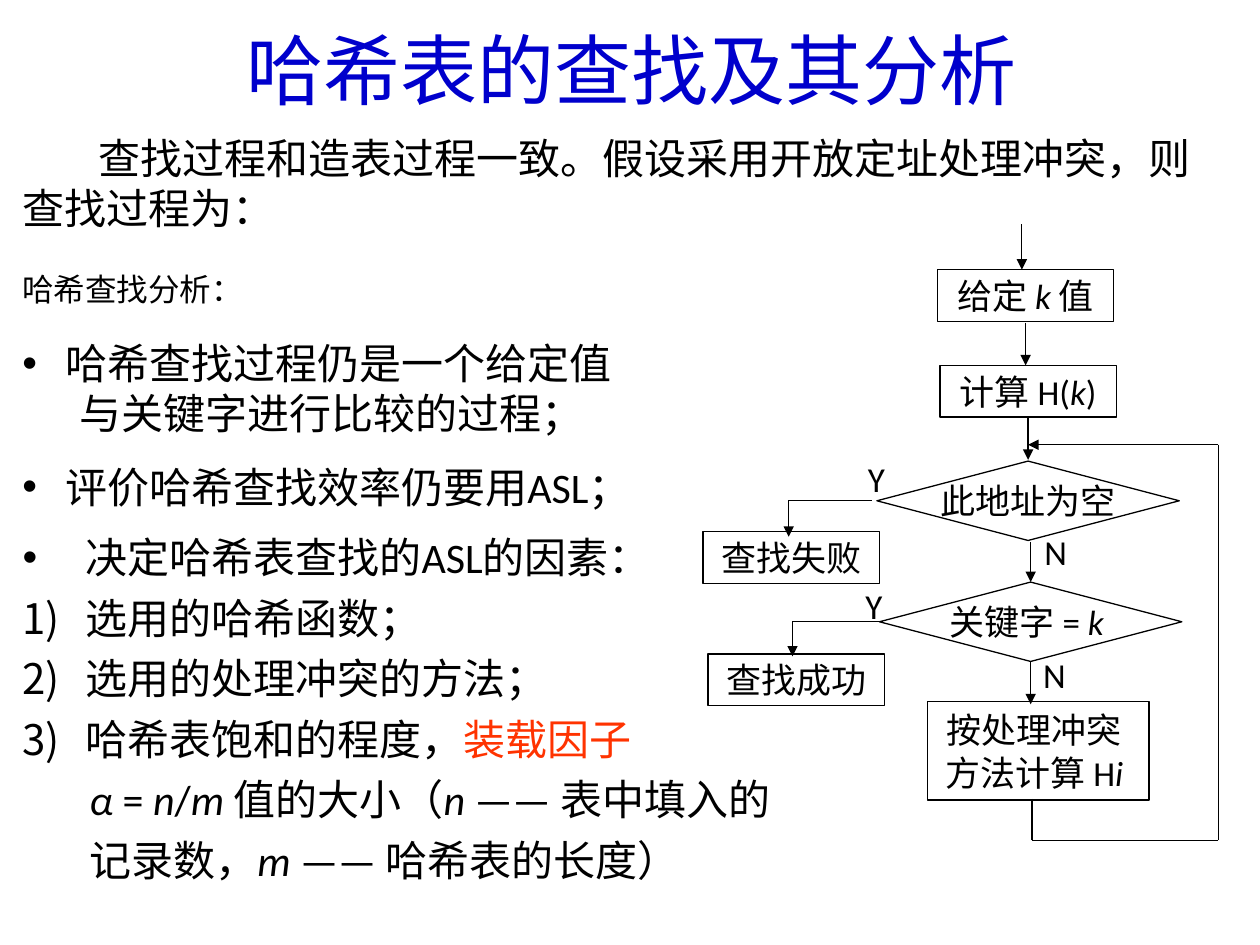
"""Build a slide on hash table lookup, with its analysis and flowchart."""
from itertools import pairwise

from lxml.etree import SubElement
from pptx import Presentation
from pptx.dml.color import RGBColor
from pptx.enum.shapes import MSO_CONNECTOR, MSO_SHAPE
from pptx.enum.text import MSO_ANCHOR, MSO_AUTO_SIZE, PP_ALIGN
from pptx.oxml.ns import qn
from pptx.util import Inches, Pt

COLORS = {"title": "0000CC", "ink": "000000", "accent": "FF3300"}
LATIN, CHINESE = "Calibri", "Noto Sans CJK SC"


def format_span(span, size, color="ink", font=LATIN, italic=False):
    """Give a run its size, colour and fonts."""
    span.font.size = Pt(size)
    span.font.name = font
    span.font.italic = italic
    span.font.color.rgb = RGBColor.from_string(COLORS[color])
    SubElement(span.font._element, qn("a:ea"), typeface=CHINESE)


def write_spans(para, text, size, color="ink"):
    """Add runs to a paragraph, with italics between asterisks."""
    for index, part in enumerate(text.split("*")):
        if part:
            span = para.add_run()
            span.text = part
            format_span(span, size, color, italic=index % 2 == 1)


def set_layout(para, margin=0, indent=0, bullet=None, spacing=1.0):
    """Set the spacing, indents and bullet of a paragraph."""
    para.alignment = PP_ALIGN.LEFT
    para.line_spacing = spacing
    para.space_before = para.space_after = Pt(0)
    properties = para._p.get_or_add_pPr()
    properties.set("marL", str(Inches(margin)))
    properties.set("indent", str(Inches(indent)))
    if bullet == "•":
        SubElement(properties, qn("a:buFont"), typeface="Arial")
        SubElement(properties, qn("a:buChar"), char=bullet)
    elif bullet == "1)":
        SubElement(properties, qn("a:buFont"), typeface=LATIN)
        SubElement(properties, qn("a:buAutoNum"), type="arabicParenR")
    else:
        SubElement(properties, qn("a:buNone"))


def place(box, left, top, width, height):
    """Move and size a placeholder."""
    box.left, box.top = Inches(left), Inches(top)
    box.width, box.height = Inches(width), Inches(height)


def fill_frame(frame, lines, size, spacing=1.0):
    """Write lines of text, margin, indent and bullet into a frame."""
    frame.auto_size = MSO_AUTO_SIZE.NONE
    frame.vertical_anchor = MSO_ANCHOR.TOP
    for index, (text, margin, indent, bullet) in enumerate(lines):
        para = frame.add_paragraph() if index else frame.paragraphs[0]
        set_layout(para, margin, indent, bullet, spacing)
        write_spans(para, text, size)


def add_text(page, left, top, width, height, lines, size=24):
    """Add a text box that holds lines."""
    box = page.shapes.add_textbox(*map(Inches, (left, top, width, height)))
    box.text_frame.word_wrap = False
    fill_frame(box.text_frame, lines, size)


def add_node(page, kind, left, top, width, height, text):
    """Add an outlined flowchart node with centred text."""
    node = page.shapes.add_shape(kind, *map(Inches, (left, top, width, height)))
    node.shadow.inherit = False
    node.fill.background()
    node.line.color.rgb = RGBColor.from_string(COLORS["ink"])
    node.line.width = Pt(0.75)
    frame = node.text_frame
    frame.word_wrap = False
    frame.vertical_anchor = MSO_ANCHOR.MIDDLE
    for index, line in enumerate(text.split("\n")):
        para = frame.add_paragraph() if index else frame.paragraphs[0]
        para.alignment = PP_ALIGN.CENTER
        write_spans(para, line, 20)


def add_route(page, *points, arrow=True):
    """Join points with lines, the last one ending in an arrowhead."""
    for start, end in pairwise(points):
        line = page.shapes.add_connector(
            MSO_CONNECTOR.STRAIGHT, *map(Inches, start + end))
        line.line.color.rgb = RGBColor.from_string(COLORS["ink"])
        line.line.width = Pt(0.75)
        if arrow and end == points[-1]:
            SubElement(line.line._get_or_add_ln(), qn("a:tailEnd"), type="triangle")
        SubElement(line._element.spPr, qn("a:effectLst"))


def add_title(page):
    """Fill the title placeholder."""
    title = page.shapes.title
    place(title, 1.86, 0.13, 6.52, 0.84)
    frame = title.text_frame
    frame.text = "哈希表的查找及其分析"
    frame.word_wrap = False
    frame.auto_size = MSO_AUTO_SIZE.NONE
    frame.vertical_anchor = MSO_ANCHOR.TOP
    set_layout(frame.paragraphs[0])
    format_span(frame.paragraphs[0].runs[0], 44, "title", CHINESE)


def add_analysis(page):
    """Add the introduction and the analysis on the left."""
    add_text(page, 0.08, 1, 9.71, 0.91, [
        ("查找过程和造表过程一致。假设采用开放定址处理冲突，则", 0, 0.6, None),
        ("查找过程为：", 0, 0, None)])
    add_text(page, 0.08, 2.09, 2.61, 0.5, [("哈希查找分析：", 0, 0, None)], 18)
    add_text(page, 0.08, 2.63, 5.19, 0.91, [
        ("哈希查找过程仍是一个给定值", 0.34, -0.34, "•"),
        ("与关键字进行比较的过程；", 0.45, 0, None)])
    add_text(page, 0.08, 3.61, 5.44, 0.5, [
        ("评价哈希查找效率仍要用ASL；", 0.34, -0.34, "•")])
    body = page.placeholders[1]
    place(body, 0.08, 4.09, 6.42, 2.98)
    frame = body.text_frame
    fill_frame(frame, [
        ("决定哈希表查找的ASL的因素：", 0.5, -0.5, "•"),
        ("选用的哈希函数；", 0.5, -0.5, "1)"),
        ("选用的处理冲突的方法；", 0.5, -0.5, "1)"),
        ("哈希表饱和的程度，", 0.5, -0.5, "1)"),
        ("*α *= *n*/*m *值的大小（*n* —— 表中填入的", 0.53, 0, None),
        ("记录数，*m* —— 哈希表的长度）", 0.53, 0, None)], 24, 1.2)
    write_spans(frame.paragraphs[3], "装载因子", 24, "accent")


def add_flowchart(page):
    """Add the lookup flowchart on the right."""
    for left, top, text in [
            (7.44, 2.14, "给定 *k *值"), (7.46, 2.9, "计算 H(*k*)"),
            (5.58, 4.22, "查找失败"), (5.62, 5.19, "查找成功")]:
        add_node(page, MSO_SHAPE.FLOWCHART_PROCESS, left, top, 1.4, 0.41, text)
    for left, top, text in [(6.96, 3.66, "此地址为空"), (6.98, 4.62, "关键字 = *k *")]:
        add_node(page, MSO_SHAPE.FLOWCHART_DECISION, left, top, 2.4, 0.63, text)
    add_node(page, MSO_SHAPE.FLOWCHART_PROCESS, 7.36, 5.57, 1.76, 0.78,
             "按处理冲突 \n方法计算 H*i *")
    for x, top, bottom in [(8.11, 1.78, 2.14), (8.14, 2.56, 2.9), (8.16, 3.31, 3.65),
                           (8.18, 4.3, 4.62), (8.18, 5.25, 5.59)]:
        add_route(page, (x, top), (x, bottom))
    add_route(page, (6.92, 3.97), (6.26, 3.97), (6.26, 4.26))
    add_route(page, (6.99, 4.93), (6.29, 4.93), (6.29, 5.21))
    add_route(page, (8.19, 6.34), (8.19, 6.67), (9.67, 6.67), (9.67, 3.53), (8.16, 3.53))
    for left, top, answer in [(6.79, 3.58, "Y"), (8.19, 4.16, "N"),
                              (6.77, 4.59, "Y"), (8.18, 5.14, "N")]:
        add_text(page, left, top, 0.4, 0.43, [(answer, 0, 0, None)], 20)


def main():
    """Build and save the deck."""
    deck = Presentation()
    deck.slide_width, deck.slide_height = Inches(10), Inches(7.5)
    page = deck.slides.add_slide(deck.slide_layouts[1])
    add_title(page)
    add_analysis(page)
    add_flowchart(page)
    deck.save("out.pptx")


if __name__ == "__main__":
    main()
